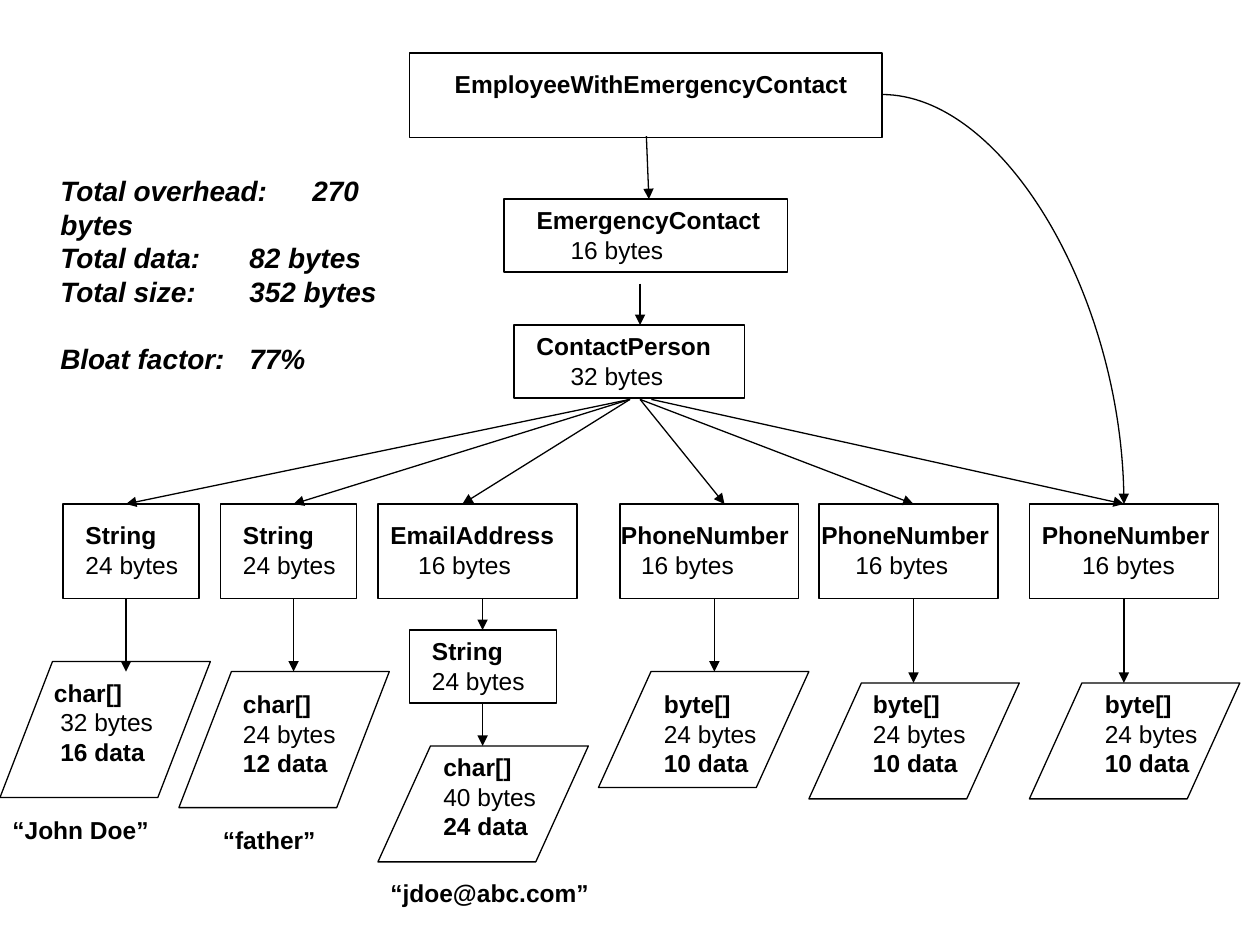
from lxml import etree
from pptx import Presentation, util as u
from pptx.dml import color
from pptx.enum import shapes, text
from pptx.oxml import ns

COLORS = {"ink": "000000"}
RECTANGLE = shapes.MSO_SHAPE.RECTANGLE
PARALLELOGRAM = shapes.MSO_SHAPE.PARALLELOGRAM


def rgb(name):
    return color.RGBColor.from_string(COLORS[name])


def write(paragraph, words, font="Arial", size=14, bold=False, italic=False,
          indent=0, before=0, tab=None):
    run = paragraph.add_run()
    run.text = words
    run.font.name = font
    run.font.size = u.Pt(size)
    run.font.bold = bold
    run.font.italic = italic
    run.font.color.rgb = rgb("ink")
    paragraph.alignment = text.PP_ALIGN.LEFT
    paragraph.space_before = u.Pt(before)
    properties = paragraph._p.get_or_add_pPr()
    properties.set("marL", str(u.Inches(indent)))
    properties.set("indent", "0")
    if tab:
        tabs = etree.SubElement(properties, ns.qn("a:tabLst"))
        etree.SubElement(tabs, ns.qn("a:tab"), pos=str(u.Inches(tab)), algn="l")


class Diagram:
    line_width = u.Pt(0.74)

    def __init__(self, slide):
        self.slide = slide

    def outline(self, kind, left, top, width, height):
        shape = self.slide.shapes.add_shape(
            kind, u.Inches(left), u.Inches(top), u.Inches(width), u.Inches(height))
        shape.shadow.inherit = False
        shape.fill.background()
        shape.line.color.rgb = rgb("ink")
        shape.line.width = self.line_width
        if kind == PARALLELOGRAM:
            shape.adjustments[0] = 0.417 / height

    def label(self, left, top, width, height, lines):
        box = self.slide.shapes.add_textbox(
            u.Inches(left), u.Inches(top), u.Inches(width), u.Inches(height))
        frame = box.text_frame
        frame.word_wrap = True
        for index, (words, style) in enumerate(lines):
            paragraph = frame.add_paragraph() if index else frame.paragraphs[0]
            write(paragraph, words, **style)

    def object_label(self, left, top, width, name, size, indent=0):
        self.label(left, top, width, 0.57,
                   [(name, {"bold": True}), (size, {"indent": indent})])

    def arrow(self, x1, y1, x2, y2, curved=False):
        kind = shapes.MSO_CONNECTOR.CURVE if curved else shapes.MSO_CONNECTOR.STRAIGHT
        connector = self.slide.shapes.add_connector(
            kind, u.Inches(x1), u.Inches(y1), u.Inches(x2), u.Inches(y2))
        connector.line.color.rgb = rgb("ink")
        connector.line.width = self.line_width
        etree.SubElement(connector.line._get_or_add_ln(), ns.qn("a:tailEnd"), type="triangle")
        properties = connector._element.spPr
        etree.SubElement(properties, ns.qn("a:effectLst"))
        if curved:
            properties.find(ns.qn("a:prstGeom")).set("prst", "curvedConnector2")


presentation = Presentation()
presentation.slide_width = u.Inches(10)
presentation.slide_height = u.Inches(7.5)
diagram = Diagram(presentation.slides.add_slide(presentation.slide_layouts[6]))

diagram.outline(RECTANGLE, 3.25, 0.42, 3.75, 0.67)
diagram.label(2.92, 0.5, 4.75, 0.34,
              [("EmployeeWithEmergencyContact", {"bold": True, "indent": 0.59})])
diagram.outline(RECTANGLE, 4, 1.58, 2.25, 0.58)
diagram.object_label(4.16, 1.58, 2.02, "EmergencyContact", "16 bytes", 0.27)
diagram.outline(RECTANGLE, 4.08, 2.58, 1.83, 0.58)
diagram.object_label(4.16, 2.58, 1.63, "ContactPerson", "32 bytes", 0.27)
diagram.arrow(5.13, 1.08, 5.15, 1.58)
diagram.arrow(5.08, 2.25, 5.08, 2.58)

FIELD_TOP, FIELD_HEIGHT = 4, 0.75
FIELDS = [
    (0.5, 1.08, 0.58, "String", "24 bytes", 0, 5, 1, 1, 5.33),
    (1.75, 1.08, 1.83, "String", "24 bytes", 0, 5, 2.33, 2.33, 5.33),
    (3, 1.58, 3, "EmailAddress", "16 bytes", 0.22, 5, 3.67, 3.83, 5),
    (4.92, 1.42, 4.83, "PhoneNumber", "16 bytes", 0.16, 5.08, 5.75, 5.67, 5.33),
    (6.5, 1.42, 6.42, "PhoneNumber", "16 bytes", 0.27, 5.08, 7.25, 7.25, 5.42),
    (8.17, 1.5, 8.17, "PhoneNumber", "16 bytes", 0.32, 5.17, 8.92, 8.92, 5.42),
]
for left, width, label_left, name, size, indent, start, end, stem, stem_end in FIELDS:
    diagram.outline(RECTANGLE, left, FIELD_TOP, width, FIELD_HEIGHT)
    diagram.object_label(label_left, FIELD_TOP + 0.08, width + 0.2, name, size, indent)
    diagram.arrow(start, 3.17, end, FIELD_TOP)
    diagram.arrow(stem, FIELD_TOP + FIELD_HEIGHT, stem, stem_end)

diagram.outline(RECTANGLE, 3.25, 5, 1.17, 0.58)
diagram.object_label(3.33, 5, 1.17, "String", "24 bytes")
diagram.arrow(3.83, 5.58, 3.83, 5.92)
diagram.arrow(7, 0.75, 8.92, 4, curved=True)

ARRAYS = [
    (0, 5.25, 1.08, 0.33, 5.33, "char[]", 32, 16, 0.05),
    (1.42, 5.33, 1.08, 1.83, 5.42, "char[]", 24, 12, 0),
    (3, 5.92, 0.92, 3.42, 5.92, "char[]", 40, 24, 0),
    (4.75, 5.33, 0.92, 5.17, 5.42, "byte[]", 24, 10, 0),
    (6.42, 5.42, 0.92, 6.83, 5.42, "byte[]", 24, 10, 0),
    (8.17, 5.42, 0.92, 8.67, 5.42, "byte[]", 24, 10, 0),
]
for left, top, height, label_left, label_top, name, size, data, indent in ARRAYS:
    diagram.outline(PARALLELOGRAM, left, top, 1.67, height)
    diagram.label(label_left, label_top, 1.08, 0.8, [
        (name, {"bold": True}),
        (f"{size} bytes", {"indent": indent}),
        (f"{data} data", {"bold": True, "indent": indent}),
    ])

for left, top, width, value in [
    (0, 6.42, 1.4, "“John Doe”"),
    (1.67, 6.5, 1.1, "“father”"),
    (3, 6.92, 1.9, "“jdoe@abc.com”"),
]:
    diagram.label(left, top, width, 0.34, [(value, {"bold": True})])

TOTALS = [
    ("Total overhead:\t270 bytes", 1.76, 0),
    ("Total data:\t82 bytes", 1.78, 0),
    ("Total size:\t352 bytes", 1.69, 0),
    ("Bloat factor:\t77%", 1.85, 19),
]
diagram.label(0.38, 1.33, 3.11, 1.5, [
    (words, {"size": 16, "bold": True, "italic": True, "tab": tab, "before": before})
    for words, tab, before in TOTALS])

presentation.save("out.pptx")
